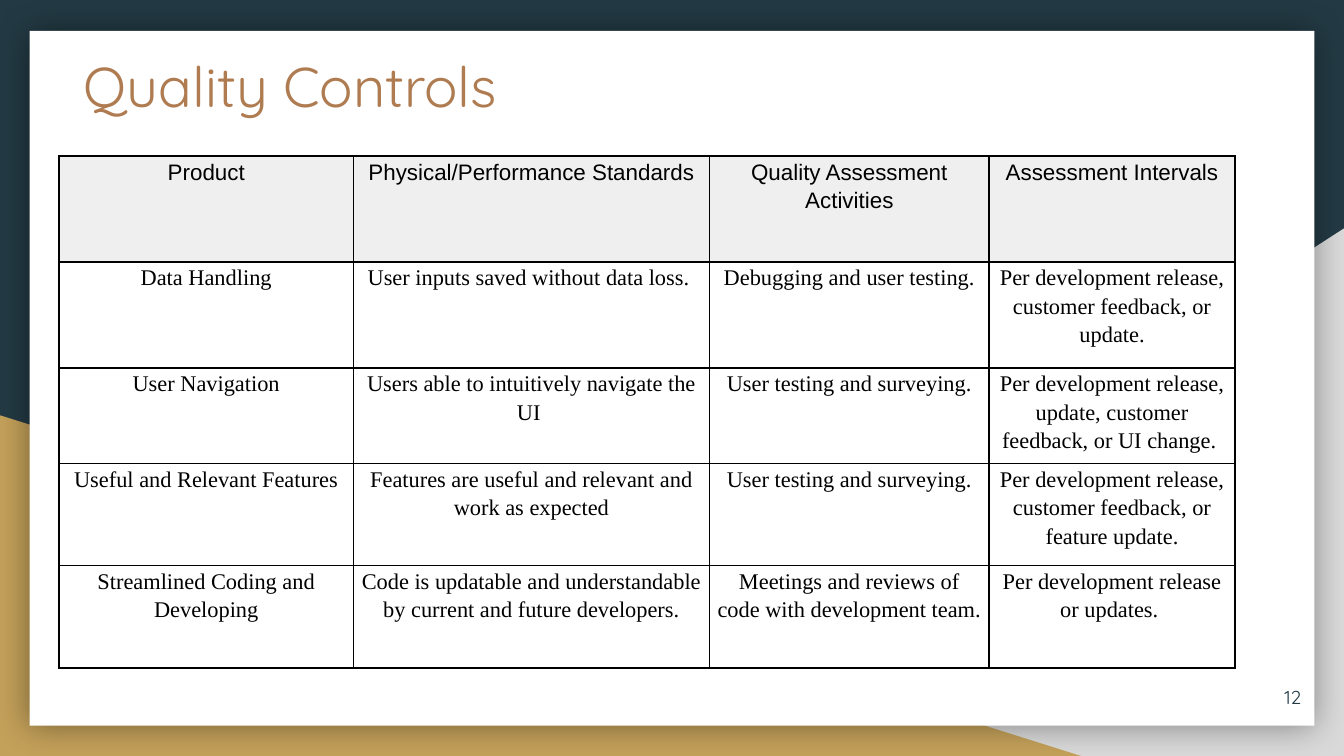
import dataclasses

import lxml.etree
import pptx
import pptx.dml.color
import pptx.enum.shapes
import pptx.enum.text
import pptx.oxml
import pptx.oxml.ns
import pptx.util

Inches = pptx.util.Inches
Pt = pptx.util.Pt
RGBColor = pptx.dml.color.RGBColor
Align = pptx.enum.text.PP_ALIGN
Anchor = pptx.enum.text.MSO_ANCHOR
Preset = pptx.enum.shapes.MSO_SHAPE
qn = pptx.oxml.ns.qn

NAVY = RGBColor(0x23, 0x3A, 0x44)
GREY = RGBColor(0xD9, 0xD9, 0xD9)
GOLD = RGBColor(0xC4, 0xA1, 0x5A)
WHITE = RGBColor(0xFF, 0xFF, 0xFF)
BROWN = RGBColor(0xAF, 0x7B, 0x51)
BLACK = RGBColor(0, 0, 0)
HEADER_FILL = RGBColor(0xEF, 0xEF, 0xEF)

SLIDE_WIDTH = 10
SLIDE_HEIGHT = SLIDE_WIDTH * 9 / 16

COLUMN_WIDTHS = (2.19, 2.65, 2.08, 1.83)
ROW_HEIGHTS = (0.79, 0.79, 0.71, 0.76, 0.76)
TABLE_ROWS = (
    ("Product", "Physical/Performance Standards",
     "Quality Assessment Activities", "Assessment Intervals"),
    ("Data Handling", "User inputs saved without data loss. ",
     "Debugging and user testing.",
     "Per development release, customer feedback, or update."),
    ("User Navigation", "Users able to intuitively navigate the UI ",
     "User testing and surveying.",
     "Per development release, update, customer feedback, or UI change. "),
    ("Useful and Relevant Features",
     "Features are useful and relevant and work as expected",
     "User testing and surveying.",
     "Per development release, customer feedback, or feature update."),
    ("Streamlined Coding and Developing",
     "Code is updatable and understandable by current and future developers.",
     "Meetings and reviews of code with development team.",
     "Per development release or updates. "),
)


@dataclasses.dataclass(frozen=True)
class Panel:
    preset: Preset
    left: float
    top: float
    width: float
    height: float
    color: RGBColor
    flipped: bool = False
    shadowed: bool = False


PANELS = (
    Panel(Preset.RIGHT_TRIANGLE, 3.92, 1.7, 6.08, 3.93, GREY, flipped=True),
    Panel(Preset.RIGHT_TRIANGLE, 0, 3.09, 8.06, 2.54, GOLD),
    Panel(Preset.RECTANGLE, 0.22, 0.23, 9.56, 5.17, WHITE, shadowed=True),
)


def write_text(frame, text: str, *, font: str, size: float, color: RGBColor,
               align=Align.LEFT, anchor=Anchor.TOP, line_spacing: float = 1.0,
               space_before: float = 0) -> None:
    frame.word_wrap = True
    frame.vertical_anchor = anchor
    paragraph = frame.paragraphs[0]
    paragraph.alignment = align
    paragraph.line_spacing = line_spacing
    paragraph.space_before = Pt(space_before)
    run = paragraph.add_run()
    run.text = text
    run.font.name = font
    run.font.size = Pt(size)
    run.font.bold = False
    run.font.color.rgb = color


def set_margins(frame, horizontal: pptx.util.Length,
                vertical: pptx.util.Length) -> None:
    frame.margin_left = frame.margin_right = horizontal
    frame.margin_top = frame.margin_bottom = vertical


def draw_panel(slide, panel: Panel) -> None:
    shape = slide.shapes.add_shape(
        panel.preset, Inches(panel.left), Inches(panel.top),
        Inches(panel.width), Inches(panel.height))
    shape.shadow.inherit = False
    shape.fill.solid()
    shape.fill.fore_color.rgb = panel.color
    shape.line.fill.background()
    properties = shape._element.spPr
    if panel.flipped:
        properties.find(qn("a:xfrm")).set("flipH", "1")
    if panel.shadowed:
        effects = properties.find(qn("a:effectLst"))
        shadow = lxml.etree.SubElement(
            effects, qn("a:outerShdw"), blurRad=str(Pt(18)), dist="0",
            algn="ctr", rotWithShape="0")
        color = lxml.etree.SubElement(shadow, qn("a:srgbClr"), val=str(BLACK))
        lxml.etree.SubElement(color, qn("a:alpha"), val="40000")


def set_borders(cell, color: RGBColor, width: float) -> None:
    properties = cell._tc.get_or_add_tcPr()
    for position, side in enumerate(("lnL", "lnR", "lnT", "lnB")):
        border = pptx.oxml.parse_xml(
            f'<a:{side} {pptx.oxml.ns.nsdecls("a")} w="{Pt(width)}">'
            f'<a:solidFill><a:srgbClr val="{color}"/></a:solidFill></a:{side}>')
        properties.insert(position, border)


def draw_table(slide, left: float, top: float) -> None:
    table = slide.shapes.add_table(
        len(ROW_HEIGHTS), len(COLUMN_WIDTHS), Inches(left), Inches(top),
        Inches(sum(COLUMN_WIDTHS)), Inches(sum(ROW_HEIGHTS))).table
    table.first_row = table.horz_banding = False
    for column, width in zip(table.columns, COLUMN_WIDTHS):
        column.width = Inches(width)
    for row_index, (row, height) in enumerate(zip(table.rows, ROW_HEIGHTS)):
        row.height = Inches(height)
        is_header = row_index == 0
        for cell, text in zip(row.cells, TABLE_ROWS[row_index]):
            set_margins(cell, Pt(4), Pt(0))
            write_text(cell.text_frame, text, size=12, color=BLACK,
                       font="Arial" if is_header else "Times New Roman",
                       align=Align.CENTER, line_spacing=1.15, space_before=10)
            if is_header:
                cell.fill.solid()
                cell.fill.fore_color.rgb = HEADER_FILL
            else:
                cell.fill.background()
            set_borders(cell, BLACK, 1)


def main() -> None:
    presentation = pptx.Presentation()
    presentation.slide_width = Inches(SLIDE_WIDTH)
    presentation.slide_height = Inches(SLIDE_HEIGHT)
    slide = presentation.slides.add_slide(presentation.slide_layouts[5])

    # Background
    slide.background.fill.solid()
    slide.background.fill.fore_color.rgb = NAVY
    for panel in PANELS:
        draw_panel(slide, panel)

    # Title, raised above the background panels
    title = slide.shapes.title
    slide.shapes._spTree.append(title._element)
    title.left, title.top = Inches(0.52), Inches(0.28)
    title.width, title.height = Inches(8.21), Inches(0.65)
    title.text_frame.auto_size = pptx.enum.text.MSO_AUTO_SIZE.NONE
    set_margins(title.text_frame, Inches(0.1), Inches(0.1))
    write_text(title.text_frame, "Quality Controls", font="Quicksand",
               size=30, color=BROWN)

    # Slide number
    number = slide.shapes.add_textbox(
        Inches(9.18), Inches(4.97), Inches(0.6), Inches(0.43))
    set_margins(number.text_frame, Inches(0.1), Inches(0.1))
    write_text(number.text_frame, "12", font="Quicksand", size=10, color=NAVY,
               align=Align.RIGHT, anchor=Anchor.MIDDLE)

    # Quality control table
    draw_table(slide, 0.44, 1.16)

    presentation.save("out.pptx")


if __name__ == "__main__":
    main()
